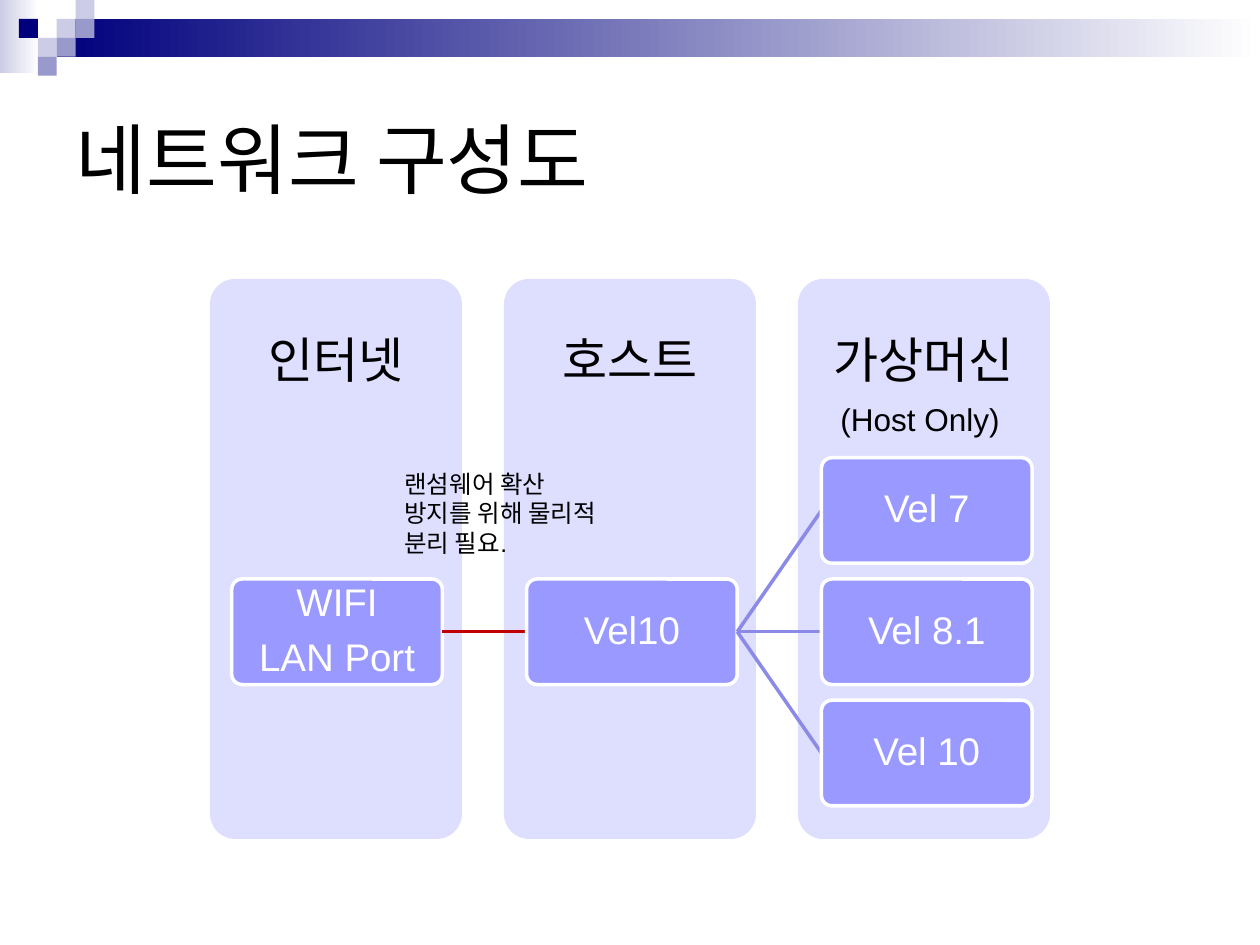
from pptx import Presentation
from pptx.dml.color import RGBColor
from pptx.enum.shapes import MSO_CONNECTOR, MSO_SHAPE
from pptx.enum.text import MSO_ANCHOR, PP_ALIGN
from pptx.oxml.ns import qn
from pptx.util import Pt
from lxml.etree import SubElement

COL_W, COL_H, COL_TOP, COL_STEP = 144, 320, 159.4, 168
NODE_W, NODE_H, NODE_STEP = 120.4, 60.3, 69.3
MID_Y = 361
TILE = 10.8
TILES = [
    (3, 1, "CCCCE6"), (4, 0, "CCCCE6"), (4, 1, "9999CC"), (2, 2, "CCCCE6"),
    (1, 1, "00007D"), (3, 2, "9999CC"), (2, 3, "9999CC"),
]


def rgb(value):
    return RGBColor.from_string(value)


def write(tf, text, size=18, color="000000", align=PP_ALIGN.LEFT,
          anchor=MSO_ANCHOR.TOP, inset=(7.2, 3.6), spacing=1, after=0):
    tf.word_wrap = True
    tf.vertical_anchor = anchor
    tf.margin_left = tf.margin_right = Pt(inset[0])
    tf.margin_top = tf.margin_bottom = Pt(inset[1])
    for i, line in enumerate(text.split("\n")):
        p = tf.paragraphs[0] if i == 0 else tf.add_paragraph()
        p.alignment = align
        p.line_spacing = spacing
        p.space_before, p.space_after = Pt(0), Pt(after)
        r = p.add_run()
        r.text = line
        r.font.size = Pt(size)
        r.font.name = "Arial"
        r.font.color.rgb = rgb(color)


def add_box(s, x, y, w, h, fill, end=None, line=None, rounded=False):
    kind = MSO_SHAPE.ROUNDED_RECTANGLE if rounded else MSO_SHAPE.RECTANGLE
    sp = s.shapes.add_shape(kind, Pt(x), Pt(y), Pt(w), Pt(h))
    sp.shadow.inherit = False
    if rounded:
        sp.adjustments[0] = 0.1
    if end:
        sp.fill.gradient()
        sp.fill.gradient_angle = 0
        for stop, color in zip(sp.fill.gradient_stops, (fill, end)):
            stop.color.rgb = rgb(color)
    else:
        sp.fill.solid()
        sp.fill.fore_color.rgb = rgb(fill)
    if line:
        sp.line.color.rgb = rgb(line)
        sp.line.width = Pt(2)
    else:
        sp.line.fill.background()
    return sp


def add_text(s, text, x, y, w, h, **fmt):
    sp = s.shapes.add_textbox(Pt(x), Pt(y), Pt(w), Pt(h))
    write(sp.text_frame, text, **fmt)


def add_column(s, col, heading):
    x = 120 + col * COL_STEP
    add_box(s, x, COL_TOP, COL_W, COL_H, "DEDEFF", rounded=True)
    add_text(s, heading, x, COL_TOP, COL_W, 96, size=28, align=PP_ALIGN.CENTER,
             anchor=MSO_ANCHOR.MIDDLE, inset=(15.8, 15.8), spacing=0.9, after=9.8)


def node_x(col):
    return 132.4 + col * (COL_STEP + 0.5)


def add_node(s, col, row, text):
    y = MID_Y + row * NODE_STEP - NODE_H / 2
    sp = add_box(s, node_x(col), y, NODE_W, NODE_H, "9999FF",
                 line="FFFFFF", rounded=True)
    write(sp.text_frame, text, size=22, color="FFFFFF", align=PP_ALIGN.CENTER,
          anchor=MSO_ANCHOR.MIDDLE, inset=(3, 3), spacing=0.9, after=7.7)


def add_link(s, col, row, color):
    c = s.shapes.add_connector(
        MSO_CONNECTOR.STRAIGHT, Pt(node_x(col) + NODE_W), Pt(MID_Y),
        Pt(node_x(col + 1)), Pt(MID_Y + row * NODE_STEP))
    c.line.color.rgb = rgb(color)
    c.line.width = Pt(2)
    SubElement(c._element.spPr, qn("a:effectLst"))


def add_banner(s):
    add_box(s, 0, 0, 22.3, 41.8, "CCCCE6", end="FFFFFF")
    add_box(s, 32.4, TILE, 687.6, 21.6, "00007D", end="FFFFFF")
    for col, row, color in TILES:
        add_box(s, col * TILE, row * TILE, TILE, TILE, color)


def add_title(s, text):
    sp = s.shapes.title
    sp.left, sp.top, sp.width, sp.height = Pt(36), Pt(36), Pt(648), Pt(108)
    write(sp.text_frame, text, size=44, anchor=MSO_ANCHOR.MIDDLE)


def main():
    prs = Presentation()
    prs.slide_width, prs.slide_height = Pt(720), Pt(540)
    s = prs.slides.add_slide(prs.slide_layouts[5])
    add_banner(s)
    add_title(s, "네트워크 구성도")
    for col, heading in enumerate(("인터넷", "호스트", "가상머신")):
        add_column(s, col, heading)
    add_node(s, 0, 0, "WIFI\nLAN Port")
    add_link(s, 0, 0, "C00000")
    add_node(s, 1, 0, "Vel10")
    for row, name in zip((-1, 0, 1), ("Vel 7", "Vel 8.1", "Vel 10")):
        add_link(s, 1, row, "8B8BE7")
        add_node(s, 2, row, name)
    add_text(s, "랜섬웨어 확산 방지를 위해 물리적 분리 필요.",
             224, 264.5, 130, 58, size=14)
    add_text(s, "(Host Only)", 473.2, 225, 119, 29)
    prs.save("out.pptx")


main()
